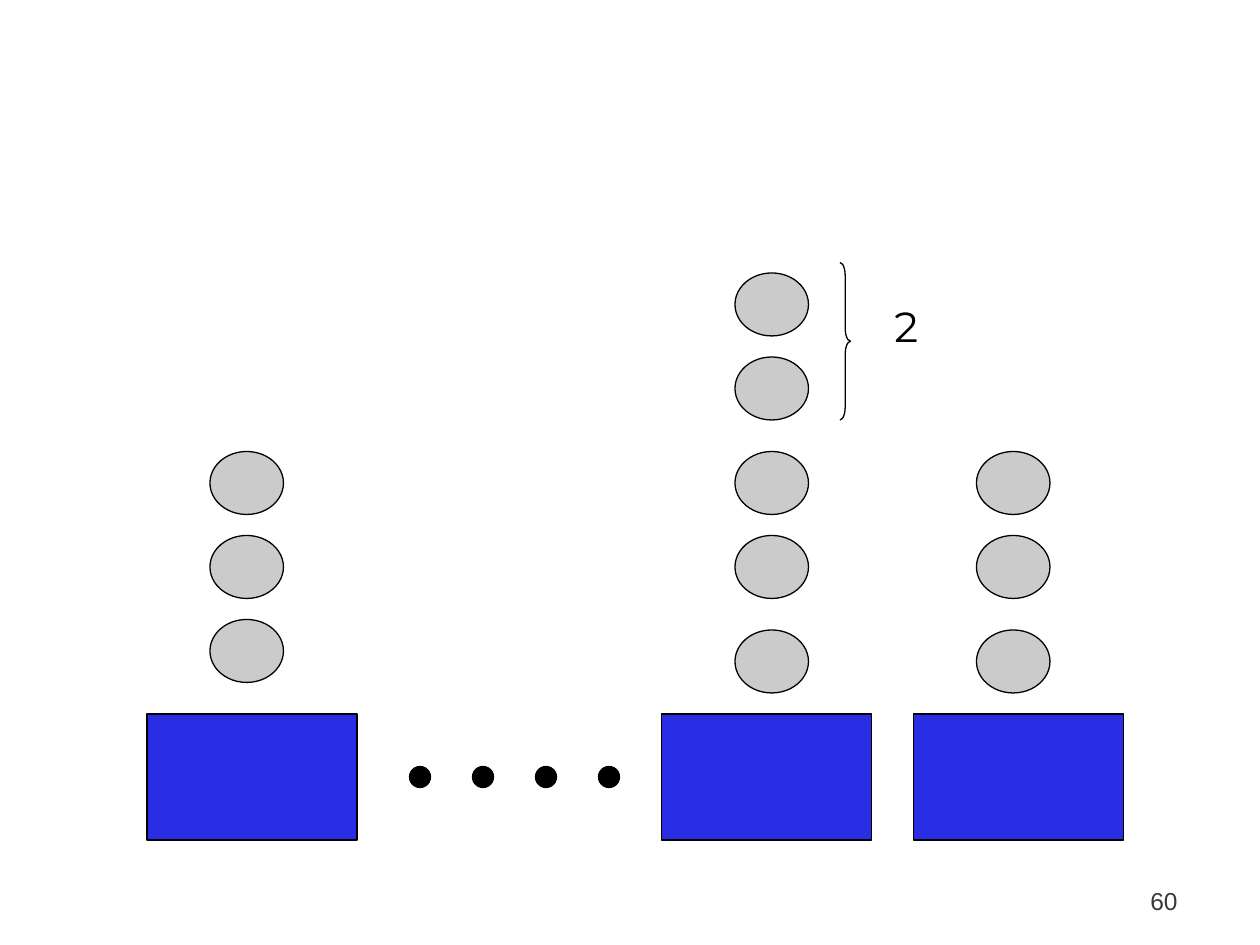
from dataclasses import dataclass

from pptx import Presentation
from pptx.dml.color import RGBColor
from pptx.enum.shapes import MSO_SHAPE
from pptx.enum.text import MSO_ANCHOR, PP_ALIGN
from pptx.util import Pt

BLACK, BLUE, GREY, DARK_GREY = "000000", "292DE3", "CBCBCB", "393939"
BIN_TOP, BIN_WIDTH, BIN_HEIGHT = 408, 120, 72
BALL_WIDTH, BALL_HEIGHT = 42, 36
DOT_SIZE, DOT_STEP = 12, 36


@dataclass
class Bin:
    left: float
    ball_left: float
    ball_tops: tuple[float, ...]


@dataclass
class Label:
    text: str
    frame: tuple[float, float, float, float]
    font: str
    size: float
    color: str
    align: PP_ALIGN
    anchor: MSO_ANCHOR
    wrap: bool


BINS = [
    Bin(84, 120, (258, 306, 354)),
    Bin(378, 420, (156, 204, 258, 306, 360)),
    Bin(522, 558, (258, 306, 360)),
]
LABELS = [
    Label("2", (504, 168, 24, 51), "Montserrat", 24, BLACK,
          PP_ALIGN.LEFT, MSO_ANCHOR.TOP, False),
    Label("60", (530, 490.5, 150, 36), "Arial", 14, DARK_GREY,
          PP_ALIGN.RIGHT, MSO_ANCHOR.BOTTOM, True),
]


def rgb(color: str) -> RGBColor:
    return RGBColor.from_string(color)


def draw_shape(page, kind: MSO_SHAPE, left: float, top: float,
               width: float, height: float, fill: str | None = None):
    shape = page.shapes.add_shape(kind, Pt(left), Pt(top), Pt(width), Pt(height))
    shape.shadow.inherit = False
    if fill:
        shape.fill.solid()
        shape.fill.fore_color.rgb = rgb(fill)
    else:
        shape.fill.background()
    shape.line.color.rgb = rgb(BLACK)
    shape.line.width = Pt(0.75)
    return shape


def draw_bin(page, item: Bin) -> None:
    draw_shape(page, MSO_SHAPE.RECTANGLE, item.left, BIN_TOP,
               BIN_WIDTH, BIN_HEIGHT, BLUE)
    for top in item.ball_tops:
        draw_shape(page, MSO_SHAPE.OVAL, item.ball_left, top,
                   BALL_WIDTH, BALL_HEIGHT, GREY)


def draw_label(page, label: Label) -> None:
    box = page.shapes.add_textbox(*(Pt(length) for length in label.frame))
    frame = box.text_frame
    frame.word_wrap = label.wrap
    frame.vertical_anchor = label.anchor
    frame.text = label.text
    para = frame.paragraphs[0]
    para.alignment = label.align
    span = para.runs[0]
    span.font.name = label.font
    span.font.size = Pt(label.size)
    span.font.color.rgb = rgb(label.color)


def main() -> None:
    deck = Presentation()
    deck.slide_width, deck.slide_height = Pt(720), Pt(540)
    page = deck.slides.add_slide(deck.slide_layouts[6])

    # Bins with their stacks of balls
    for item in BINS:
        draw_bin(page, item)

    # Dots standing for the bins left out
    for index in range(4):
        draw_shape(page, MSO_SHAPE.OVAL, 234 + index * DOT_STEP, 438,
                   DOT_SIZE, DOT_SIZE, BLACK)

    # Brace around the two extra balls
    brace = draw_shape(page, MSO_SHAPE.RIGHT_BRACE, 480, 150, 6, 90)
    brace.adjustments[0] = 1.25

    # Brace label and page number
    for label in LABELS:
        draw_label(page, label)

    deck.save("out.pptx")


if __name__ == "__main__":
    main()
